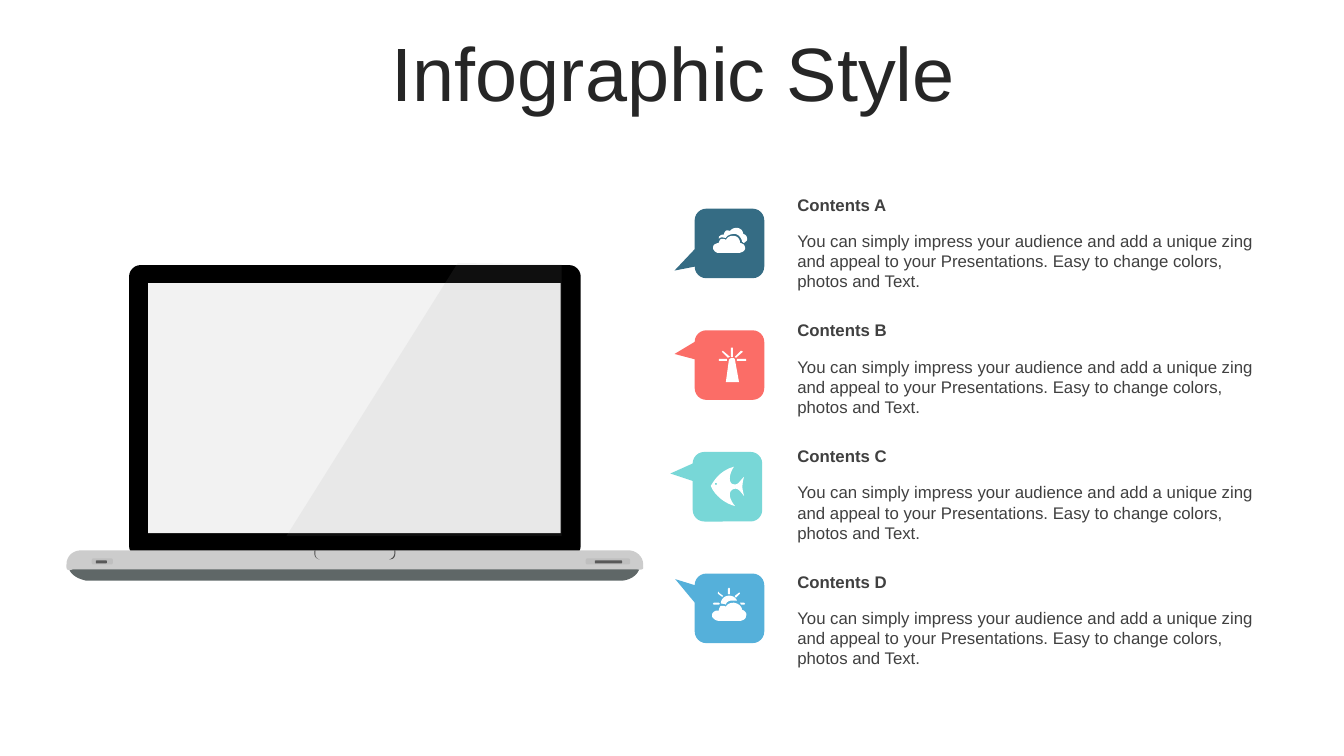
import dataclasses
import lxml.etree
import pptx
import pptx.dml.color
import pptx.enum.shapes
import pptx.enum.text
import pptx.oxml.ns
import pptx.util

Inches = pptx.util.Inches
Kind = pptx.enum.shapes.MSO_SHAPE


@dataclasses.dataclass
class Theme:
    font: str = "Arial"
    head: int = 54
    body: int = 12
    title: str = "262626"
    text: str = "404040"
    white: str = "FFFFFF"
    lid: str = "000000"
    screen: str = "F2F2F2"
    base: str = "CCCCCC"
    foot: str = "5F6767"
    notch: str = "4D4D4D"
    port: str = "BFBFBF"
    slot: str = "595959"
    shine: str = "999999"
    tags: tuple = ("356C84", "FB6D67", "78D7D7", "55B0DA")


theme = Theme()


def paint(shape, color):
    shape.shadow.inherit = False
    shape.fill.solid()
    shape.fill.fore_color.rgb = pptx.dml.color.RGBColor.from_string(color)
    shape.line.fill.background()
    return shape


def trace(host, color, loops):
    pen = None
    for start, *steps in loops:
        dots = [start]
        for step in steps:
            if len(step) == 2:
                dots.append(step)
                continue
            (ax, ay), (bx, by, cx, cy, dx, dy) = dots[-1], step
            for t in (n / 8 for n in range(1, 9)):
                u = 1 - t
                dots.append((u**3 * ax + 3 * u * u * t * bx + 3 * u * t * t * cx + t**3 * dx,
                             u**3 * ay + 3 * u * u * t * by + 3 * u * t * t * cy + t**3 * dy))
        dots = [(Inches(x / 100), Inches(y / 100)) for x, y in dots]
        if pen is None:
            pen = host.build_freeform(*dots[0])
        else:
            pen.move_to(*dots[0])
        pen.add_line_segments(dots[1:], close=True)
    return paint(pen.convert_to_shape(), color)


deck = pptx.Presentation()
deck.slide_width, deck.slide_height = Inches(13.33), Inches(7.5)
slide = deck.slides.add_slide(deck.slide_layouts[5])
shapes = slide.shapes

title = shapes.title
title.left, title.top, title.width, title.height = map(Inches, (0.35, 0.37, 12.66, 0.79))
title.text_frame.text = "Infographic Style"
title.text_frame.vertical_anchor = pptx.enum.text.MSO_ANCHOR.MIDDLE
line = title.text_frame.paragraphs[0]
line.alignment = pptx.enum.text.PP_ALIGN.CENTER
line.line_spacing = 0.9
line.space_before = pptx.util.Pt(0)
font = line.runs[0].font
font.name, font.size = theme.font, pptx.util.Pt(theme.head)
font.color.rgb = pptx.dml.color.RGBColor.from_string(theme.title)

laptop = shapes.add_group_shape().shapes
trace(laptop, theme.foot, [
    [(618, 576), (618, 576, 630, 575, 634, 565), (634, 562, 632, 560, 629, 560), (82, 562),
     (75, 562), (72, 562, 69, 564, 69, 566), (73, 573, 81, 575, 85, 576)]])
lid = laptop.add_shape(Kind.ROUNDED_RECTANGLE, Inches(1.28), Inches(2.63), Inches(4.48), Inches(2.9))
lid.adjustments[0] = 0.04
paint(lid, theme.lid)
screen = laptop.add_shape(Kind.RECTANGLE, Inches(1.47), Inches(2.81), Inches(4.09), Inches(2.48))
paint(screen, theme.screen)
trace(laptop, theme.base, [
    [(81, 546), (623, 546), (631, 546, 638, 552, 638, 560), (638, 563),
     (638, 563, 639, 566, 632, 565), (72, 565), (69, 566, 66, 566, 66, 563),
     (66, 560), (66, 552, 72, 546, 81, 546)]])
trace(laptop, theme.notch, [
    [(312, 546), (313, 546), (313, 546, 311, 554, 317, 555), (310, 554, 312, 546, 312, 546)],
    [(391, 546), (392, 546), (393, 554, 389, 555, 386, 555), (389, 554, 392, 552, 391, 546)]])
for left, top, width, height, color in (
        (0.91, 5.54, 0.21, 0.06, theme.port), (0.95, 5.56, 0.11, 0.03, theme.slot),
        (5.81, 5.54, 0.44, 0.06, theme.port), (5.9, 5.56, 0.27, 0.03, theme.slot)):
    slot = laptop.add_shape(Kind.ROUNDED_RECTANGLE, *map(Inches, (left, top, width, height)))
    slot.adjustments[0] = 0.28
    paint(slot, color)
shine = trace(laptop, theme.shine, [[(454, 261), (557, 262), (557, 532), (284, 532)]])
tint = shine.element.find(".//" + pptx.oxml.ns.qn("a:srgbClr"))
lxml.etree.SubElement(tint, pptx.oxml.ns.qn("a:alpha")).set("val", "10000")

clouds = [
    [(727, 234), (733, 234, 734, 239, 734, 241), (739, 242, 739, 245, 739, 247),
     (738, 250, 734, 251, 732, 251), (713, 251), (711, 251, 709, 250, 708, 248),
     (707, 247, 707, 245, 708, 243), (708, 243, 711, 241, 713, 241),
     (713, 240, 714, 238, 715, 237), (717, 237, 719, 237, 720, 238), (721, 236, 723, 234, 727, 234)],
    [(731, 226), (736, 227, 737, 230, 737, 232), (741, 233, 741, 236, 741, 238),
     (741, 239, 739, 240, 738, 241), (737, 241, 737, 240, 736, 240),
     (736, 238, 734, 233, 729, 232), (723, 232, 720, 235, 720, 236),
     (718, 236, 716, 235, 714, 236), (713, 237), (713, 235), (714, 234, 716, 232, 718, 233),
     (718, 231, 719, 230, 720, 229), (721, 228, 723, 229, 724, 229), (725, 228, 727, 226, 731, 226)]]
tower = [
    [(731, 356), (740, 356), (740, 358), (731, 358)],
    [(713, 356), (721, 356), (721, 358), (713, 358)],
    [(726, 355), (728, 355, 729, 356, 729, 357), (733, 379), (720, 379), (723, 357),
     (724, 356, 725, 355, 726, 355)],
    [(735, 348), (737, 349), (730, 355), (729, 354)],
    [(717, 348), (724, 354), (722, 355), (716, 349)],
    [(725, 345), (727, 345), (727, 354), (725, 354)]]
fish = [
    [(710, 479), (709, 479, 709, 479, 709, 480), (709, 481, 710, 481, 710, 481),
     (711, 481, 711, 481, 711, 480), (711, 479, 711, 479, 710, 479)],
    [(728, 463), (724, 469, 722, 477, 726, 480), (732, 482, 732, 479, 738, 473),
     (735, 483, 737, 487, 738, 492), (735, 489, 732, 482, 726, 486),
     (722, 489, 724, 496, 729, 502), (720, 500, 709, 492, 705, 482), (707, 479, 713, 467, 728, 463)]]
sun = [
    [(734, 598), (738, 598), (739, 599), (738, 600), (735, 600)],
    [(708, 598), (713, 598), (714, 599), (713, 600), (708, 600), (707, 599)],
    [(728, 598), (734, 599, 736, 603, 736, 605), (740, 606, 741, 610, 740, 611),
     (740, 615, 735, 616, 734, 616), (713, 616), (711, 616, 709, 615, 707, 613),
     (706, 612, 706, 609, 707, 608), (708, 607, 710, 605, 713, 606),
     (713, 604, 714, 602, 715, 601), (717, 601, 719, 601, 720, 602), (721, 600, 723, 598, 728, 598)],
    [(723, 591), (727, 591, 730, 593, 731, 596), (730, 596, 729, 596, 728, 596),
     (723, 595, 720, 598, 720, 600), (719, 599, 717, 599, 715, 599), (715, 594, 719, 591, 723, 591)],
    [(733, 588), (734, 588), (734, 589), (731, 592), (730, 593), (729, 592), (729, 591)],
    [(713, 587), (713, 588), (717, 591), (717, 592), (716, 592), (712, 589), (712, 588)],
    [(723, 583), (724, 584), (724, 589), (723, 590), (722, 589), (722, 584)]]

blurb = ("You can simply impress your audience and add a unique zing and appeal to your "
         "Presentations. Easy to change colors, photos and Text.")
items = (("A", 6.89, 0.39, 0.79, clouds), ("B", 6.89, -0.16, 0.79, tower),
         ("C", 6.87, -0.19, 0.82, fish), ("D", 6.89, -0.42, 0.78, sun))
for row, (name, left, along, out, icon) in enumerate(items):
    tag = shapes.add_shape(Kind.ROUNDED_RECTANGULAR_CALLOUT, Inches(left),
                           Inches(2.07 + 3.62 * row / 3), Inches(0.69), Inches(0.69))
    tag.rotation = 90
    tag.adjustments[0], tag.adjustments[1] = along, out
    paint(tag, theme.tags[row])
    trace(shapes, theme.white, icon)
    pair = shapes.add_group_shape().shapes
    top = 1.88 + 3.74 * row / 3
    for words, drop, height, bold in (("Contents " + name, 0, 0.3, True), (blurb, 0.36, 0.71, False)):
        box = pair.add_textbox(Inches(7.81), Inches(top + drop), Inches(4.84), Inches(height))
        frame = box.text_frame
        frame.word_wrap = True
        frame.auto_size = pptx.enum.text.MSO_AUTO_SIZE.SHAPE_TO_FIT_TEXT
        frame.text = words
        font = frame.paragraphs[0].runs[0].font
        font.name, font.size, font.bold = theme.font, pptx.util.Pt(theme.body), bold
        font.color.rgb = pptx.dml.color.RGBColor.from_string(theme.text)

deck.save("out.pptx")
